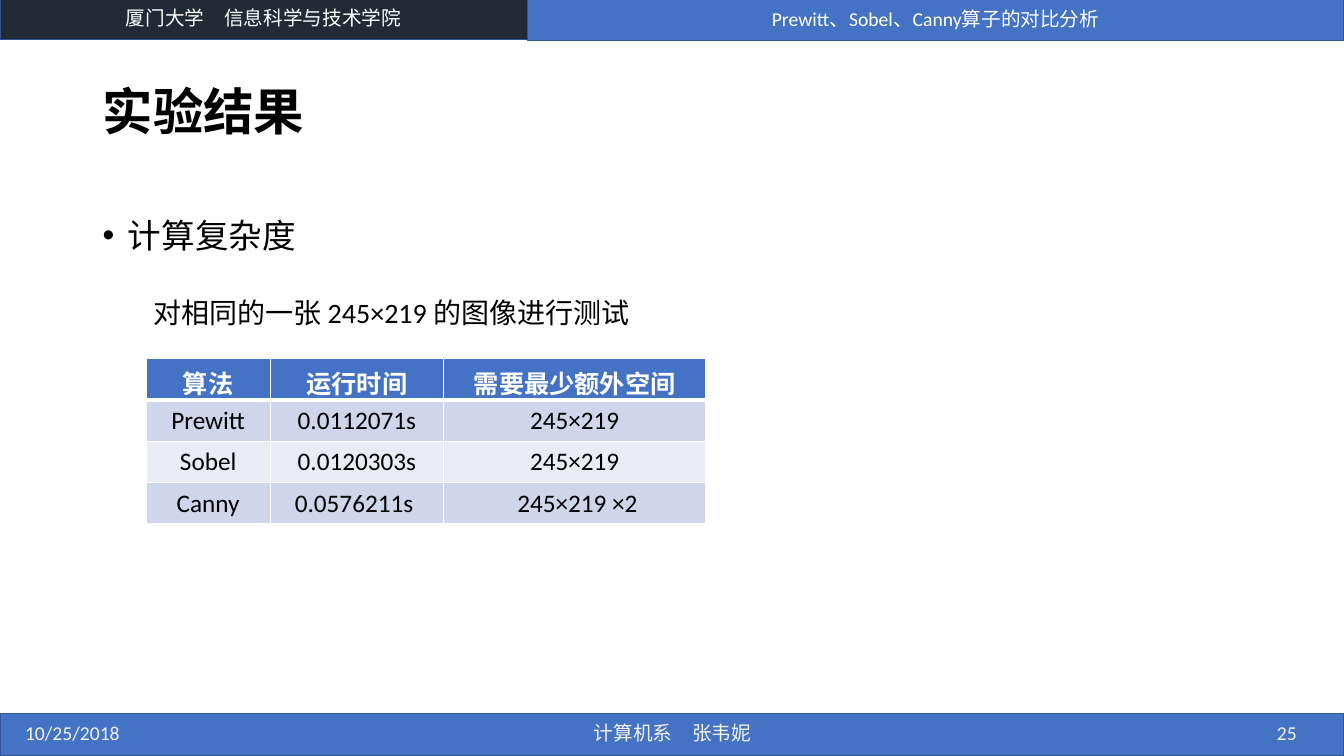
import dataclasses

import pptx
import pptx.dml.color
import pptx.enum.shapes
import pptx.enum.text
import pptx.oxml
import pptx.oxml.ns
import pptx.util

Inches = pptx.util.Inches
Pt = pptx.util.Pt
ALIGN = pptx.enum.text.PP_ALIGN
MIDDLE = pptx.enum.text.MSO_ANCHOR.MIDDLE
RGB = pptx.dml.color.RGBColor.from_string


@dataclasses.dataclass(frozen=True)
class Theme:
    blue: str = "4472C4"
    navy: str = "222A35"
    outline: str = "325491"
    white: str = "FFFFFF"
    black: str = "000000"
    footer_text: str = "F2F2F2"
    bands: tuple = ("CFD5EA", "E9EBF5")
    latin: str = "Calibri"
    cjk: str = "Noto Sans CJK SC"
    title_size: int = 36
    point_size: int = 24
    detail_size: int = 20
    table_size: int = 18
    bar_size: int = 14


theme = Theme()


def write(paragraph, text, size, color, align=ALIGN.LEFT, bold=False, font=theme.latin):
    paragraph.alignment = align
    run = paragraph.add_run()
    run.text = text
    run.font.name = font
    run.font.size = Pt(size)
    run.font.bold = bold
    run.font.color.rgb = RGB(color)
    east_asian = pptx.oxml.parse_xml(
        f'<a:ea {pptx.oxml.ns.nsdecls("a")} typeface="{theme.cjk}"/>')
    run.font._element.find(pptx.oxml.ns.qn("a:latin")).addnext(east_asian)


def text_frame(left, top, width, height):
    frame = slide.shapes.add_textbox(
        Inches(left), Inches(top), Inches(width), Inches(height)).text_frame
    frame.word_wrap = True
    return frame


presentation = pptx.Presentation()
presentation.slide_width = Inches(13.33)
presentation.slide_height = Inches(7.5)
slide = presentation.slides.add_slide(presentation.slide_layouts[6])

# Footer bar and the two header bars
bars = [
    (0, 7.08, 13.33, theme.blue, ""),
    (0, -0.03, 5.23, theme.navy, "厦门大学　信息科学与技术学院"),
    (5.23, -0.02, 8.1, theme.blue, "Prewitt、Sobel、Canny算子的对比分析"),
]
for left, top, width, color, label in bars:
    bar = slide.shapes.add_shape(
        pptx.enum.shapes.MSO_SHAPE.RECTANGLE,
        Inches(left), Inches(top), Inches(width), Inches(0.42))
    bar.shadow.inherit = False
    bar.fill.solid()
    bar.fill.fore_color.rgb = RGB(color)
    bar.line.color.rgb = RGB(theme.outline)
    bar.line.width = Pt(1)
    if label:
        bar.text_frame.vertical_anchor = MIDDLE
        write(bar.text_frame.paragraphs[0], label, theme.bar_size, theme.white, ALIGN.CENTER)

# Title
title = text_frame(0.92, 0.56, 11.5, 1.14)
title.vertical_anchor = MIDDLE
title.paragraphs[0].line_spacing = 0.9
write(title.paragraphs[0], "实验结果", theme.title_size, theme.black, bold=True)

# Bullet and the line under it
body = text_frame(0.92, 1.68, 11.5, 5.08)
point = body.paragraphs[0]
point.line_spacing = 2.0
point.space_before = Pt(10)
write(point, "计算复杂度", theme.point_size, theme.black)
point_format = point._p.get_or_add_pPr()
point_format.set("marL", str(Inches(0.25)))
point_format.set("indent", str(Inches(-0.25)))
for bullet_part in ('buFont {} typeface="Arial"', 'buChar {} char="•"'):
    point_format.append(pptx.oxml.parse_xml(
        "<a:" + bullet_part.format(pptx.oxml.ns.nsdecls("a")) + "/>"))

detail = body.add_paragraph()
detail.level = 1
detail.line_spacing = 2.0
detail.space_before = Pt(5)
write(detail, "对相同的一张 245×219 的图像进行测试", theme.detail_size, theme.black)
detail_format = detail._p.get_or_add_pPr()
detail_format.set("marL", str(Inches(0.5)))
detail_format.set("indent", "0")

# Footer text
footers = [
    (0.15, 3, "10/25/2018", ALIGN.LEFT, theme.latin),
    (4.42, 4.5, "计算机系　张韦妮", ALIGN.CENTER, theme.cjk),
    (9.96, 3, "25", ALIGN.RIGHT, theme.latin),
]
for left, width, label, align, font in footers:
    footer = text_frame(left, 7.07, width, 0.4)
    footer.vertical_anchor = MIDDLE
    write(footer.paragraphs[0], label, theme.bar_size, theme.footer_text, align, font=font)

# Comparison table
results = [
    ("算法", "运行时间", "需要最少额外空间"),
    ("Prewitt", " 0.0112071s ", " 245×219 "),
    ("Sobel", "0.0120303s", " 245×219 "),
    ("Canny", "0.0576211s ", " 245×219 ×2"),
]
column_widths = (1.23, 1.72, 2.6)
row_height = 0.41
comparison = slide.shapes.add_table(
    len(results), len(column_widths), Inches(1.45), Inches(3.56),
    Inches(sum(column_widths)), Inches(row_height * len(results))).table
for column, width in zip(comparison.columns, column_widths):
    column.width = Inches(width)

for row_index, values in enumerate(results):
    comparison.rows[row_index].height = Inches(row_height)
    is_header = row_index == 0
    fill = theme.blue if is_header else theme.bands[(row_index - 1) % 2]
    color = theme.white if is_header else theme.black
    borders = {"L": 1, "R": 1, "T": 3 if row_index == 1 else 1, "B": 3 if is_header else 1}
    for column_index, value in enumerate(values):
        cell = comparison.cell(row_index, column_index)
        cell.vertical_anchor = MIDDLE
        cell.fill.solid()
        cell.fill.fore_color.rgb = RGB(fill)
        write(cell.text_frame.paragraphs[0], value, theme.table_size, color,
              ALIGN.CENTER, is_header)
        cell_format = cell._tc.get_or_add_tcPr()
        for position, (side, weight) in enumerate(borders.items()):
            cell_format.insert(position, pptx.oxml.parse_xml(
                f'<a:ln{side} {pptx.oxml.ns.nsdecls("a")} w="{Pt(weight)}">'
                f'<a:solidFill><a:srgbClr val="{theme.white}"/></a:solidFill></a:ln{side}>'))

presentation.save("out.pptx")
